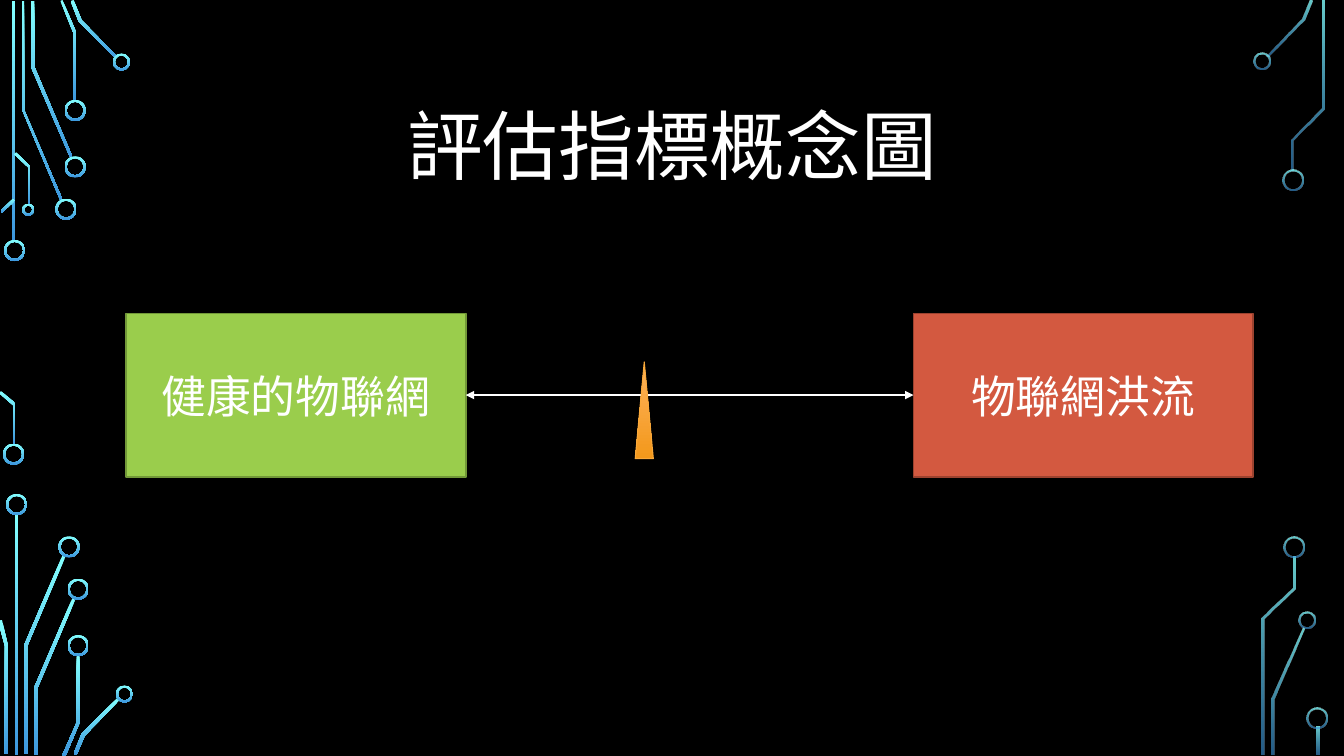
from lxml import etree
from pptx import Presentation
from pptx.dml.color import RGBColor
from pptx.enum.shapes import MSO_CONNECTOR, MSO_SHAPE
from pptx.enum.text import MSO_ANCHOR, PP_ALIGN
from pptx.oxml.ns import qn
from pptx.util import Inches, Pt

RECTANGLE = MSO_SHAPE.RECTANGLE
TRIANGLE = MSO_SHAPE.ISOSCELES_TRIANGLE
DONUT = MSO_SHAPE.DONUT
STRAIGHT = MSO_CONNECTOR.STRAIGHT
MIDDLE = MSO_ANCHOR.MIDDLE
CENTER = PP_ALIGN.CENTER

FONT = "Noto Sans CJK SC"
COLORS = {
    "background": "000000",
    "text": "FFFFFF",
    "healthy": "9ACD4C",
    "healthy_edge": "729838",
    "flood": "D35940",
    "flood_edge": "9C422F",
    "pointer_top": "FEB35D",
    "pointer_bottom": "F3981B",
    "pointer_edge": "FAA93A",
    "circuit_top": "82FFFF",
    "circuit_bottom": "3D97DE",
}
RING_WIDTH = 0.02
BAR_WIDTH = 0.03
OPAQUE = (100, 100)
FADED = (80, 60)

LEFT_BARS = [(0.12, 0.01, 2.39), (0.15, 5.1, 2.39)]
RIGHT_BARS = [(13.06, 7.21, 0.28)]

LEFT_RINGS = [
    (0.04, 2.38, 0.21), (0.03, 4.4, 0.21), (0.55, 1.97, 0.21), (0.64, 1.55, 0.21),
    (0.64, 0.99, 0.21), (1.12, 0.53, 0.17), (0.22, 2.02, 0.12), (0.06, 4.9, 0.21),
    (0.58, 5.32, 0.21), (0.67, 5.74, 0.21), (0.67, 6.3, 0.21), (1.15, 6.8, 0.17),
]
RIGHT_RINGS = [
    (12.43, 0.52, 0.17), (12.72, 1.68, 0.21), (12.88, 6.07, 0.17),
    (12.73, 5.32, 0.21), (12.96, 7.02, 0.21),
]

LEFT_TRACES = [
    [(0.6, 1.99), (0.22, 1.09), (0.22, 0.01), (0.24, 0.01), (0.24, 1.09), (0.62, 1.98)],
    [(0.7, 1.57), (0.31, 0.67), (0.31, 0.01), (0.34, 0.01), (0.34, 0.66), (0.72, 1.56)],
    [(0.76, 1), (0.73, 1), (0.73, 0.33), (0.6, 0.01), (0.62, 0), (0.76, 0.33)],
    [(1.15, 0.58), (0.78, 0.21), (0.7, 0.01), (0.73, 0), (0.81, 0.2), (1.16, 0.56)],
    [(0.02, 2.11), (0.01, 2.09), (0.13, 1.97), (0.15, 1.99)],
    [(0.15, 4.41), (0.13, 4.41), (0.13, 4.02), (-0.01, 3.9), (0.01, 3.88), (0.15, 4)],
    [(0.3, 2.03), (0.28, 2.03), (0.28, 1.66), (0.14, 1.53), (0.16, 1.51), (0.3, 1.65)],
    [(0.27, 7.48), (0.24, 7.48), (0.24, 6.4), (0.62, 5.51), (0.65, 5.52), (0.27, 6.41)],
    [(0.08, 7.48), (0.05, 7.48), (0.05, 6.41), (-0.02, 6.16), (0.02, 6.15), (0.08, 6.41)],
    [(0.37, 7.49), (0.34, 7.49), (0.34, 6.82), (0.72, 5.93), (0.75, 5.94), (0.37, 6.83)],
    [(0.65, 7.5), (0.62, 7.49), (0.76, 7.17), (0.76, 6.5), (0.79, 6.5), (0.79, 7.17)],
    [(0.76, 7.49), (0.73, 7.48), (0.81, 7.28), (1.17, 6.92), (1.19, 6.94), (0.84, 7.3)],
]
RIGHT_TRACES = [
    [(12.58, 0.56), (12.56, 0.55), (12.91, 0.19), (12.99, 0), (13.02, 0.01), (12.94, 0.2)],
    [(12.64, 7.49), (12.61, 7.49), (12.61, 6.93), (12.92, 6.23), (12.94, 6.24), (12.64, 6.94)],
    [(12.83, 1.69), (12.81, 1.69), (12.81, 1.38), (13.11, 1.07), (13.11, 0.01),
     (13.14, 0.01), (13.14, 1.08), (12.83, 1.39)],
    [(12.54, 7.49), (12.51, 7.49), (12.51, 6.13), (12.82, 5.83), (12.82, 5.52),
     (12.85, 5.52), (12.85, 5.84), (12.54, 6.14)],
]


def color(name):
    """Return the named colour."""
    return RGBColor.from_string(COLORS[name])


def fill_gradient(shape, top, bottom, opacities=OPAQUE):
    """Fill a shape from top to bottom, with an opacity in percent at each end."""
    shape.shadow.inherit = False
    shape.fill.gradient()
    shape.fill.gradient_angle = 270
    for stop, name in zip(shape.fill.gradient_stops, (top, bottom)):
        stop.color.rgb = color(name)
    for element, opacity in zip(shape._element.spPr.iter(qn("a:srgbClr")), opacities):
        if opacity < 100:
            etree.SubElement(element, qn("a:alpha"), val=str(opacity * 1000))


def set_line(shape, name, width):
    """Give a shape or connector a solid line."""
    shape.line.color.rgb = color(name)
    shape.line.width = Pt(width)


def set_text(shape, text, size):
    """Write one centred line of text in a shape."""
    frame = shape.text_frame
    frame.text = text
    frame.word_wrap = True
    frame.vertical_anchor = MIDDLE
    paragraph = frame.paragraphs[0]
    paragraph.alignment = CENTER
    paragraph.font.size = Pt(size)
    paragraph.font.name = FONT
    paragraph.font.color.rgb = color("text")
    for properties in paragraph._p.iter(qn("a:defRPr")):
        etree.SubElement(properties, qn("a:ea"), typeface=FONT)
    return paragraph


def add_preset(slide, kind, left, top, width, height):
    """Add a preset shape measured in inches."""
    return slide.shapes.add_shape(
        kind, Inches(left), Inches(top), Inches(width), Inches(height))


def add_ring(slide, left, top, size):
    """Add a thin ring that ends a circuit trace."""
    ring = add_preset(slide, DONUT, left, top, size, size)
    ring.adjustments[0] = RING_WIDTH / size
    return ring


def add_trace(slide, points):
    """Add the closed outline of a bent circuit trace."""
    corners = [(Inches(x), Inches(y)) for x, y in points]
    builder = slide.shapes.build_freeform(*corners[0])
    builder.add_line_segments(corners[1:], close=True)
    return builder.convert_to_shape()


def add_circuit(slide, bars, rings, traces, opacities):
    """Add the circuit decoration of one side of the slide."""
    parts = [add_preset(slide, RECTANGLE, left, top, BAR_WIDTH, height)
             for left, top, height in bars]
    parts += [add_trace(slide, points) for points in traces]
    parts += [add_ring(slide, *ring) for ring in rings]
    for part in parts:
        fill_gradient(part, "circuit_top", "circuit_bottom", opacities)
        part.line.fill.background()


def add_title(slide, text):
    """Place and format the title."""
    title = slide.shapes.title
    title.left, title.top = Inches(1.25), Inches(0.68)
    title.width, title.height = Inches(10.83), Inches(1.62)
    set_text(title, text, 54).line_spacing = 0.9


def add_box(slide, left, text, name):
    """Add a box for one end of the scale."""
    box = add_preset(slide, RECTANGLE, left, 3.11, 3.37, 1.62)
    box.shadow.inherit = False
    box.fill.solid()
    box.fill.fore_color.rgb = color(name)
    set_line(box, f"{name}_edge", 1.25)
    set_text(box, text, 32)
    return box


def add_double_arrow(slide, start, end):
    """Join the facing sides of two boxes with a double-headed arrow."""
    arrow = slide.shapes.add_connector(STRAIGHT, 0, 0, 0, 0)
    arrow.begin_connect(start, 3)
    arrow.end_connect(end, 1)
    set_line(arrow, "text", 1.75)
    line = arrow.line._get_or_add_ln()
    for tag in ("a:headEnd", "a:tailEnd"):
        etree.SubElement(line, qn(tag), type="triangle")
    etree.SubElement(arrow._element.spPr, qn("a:effectLst"))


def add_pointer(slide):
    """Add the narrow triangle that marks a place on the scale."""
    pointer = add_preset(slide, TRIANGLE, 6.3, 3.59, 0.18, 0.96)
    fill_gradient(pointer, "pointer_top", "pointer_bottom")
    set_line(pointer, "pointer_edge", 0.75)


def main():
    """Build and save the slide."""
    presentation = Presentation()
    presentation.slide_width = Inches(13.33)
    presentation.slide_height = Inches(7.5)
    slide = presentation.slides.add_slide(presentation.slide_layouts[5])
    slide.background.fill.solid()
    slide.background.fill.fore_color.rgb = color("background")
    add_circuit(slide, LEFT_BARS, LEFT_RINGS, LEFT_TRACES, OPAQUE)
    add_circuit(slide, RIGHT_BARS, RIGHT_RINGS, RIGHT_TRACES, FADED)
    add_title(slide, "評估指標概念圖")
    healthy = add_box(slide, 1.25, "健康的物聯網", "healthy")
    flood = add_box(slide, 9.06, "物聯網洪流", "flood")
    add_double_arrow(slide, healthy, flood)
    add_pointer(slide)
    presentation.save("out.pptx")


if __name__ == "__main__":
    main()
